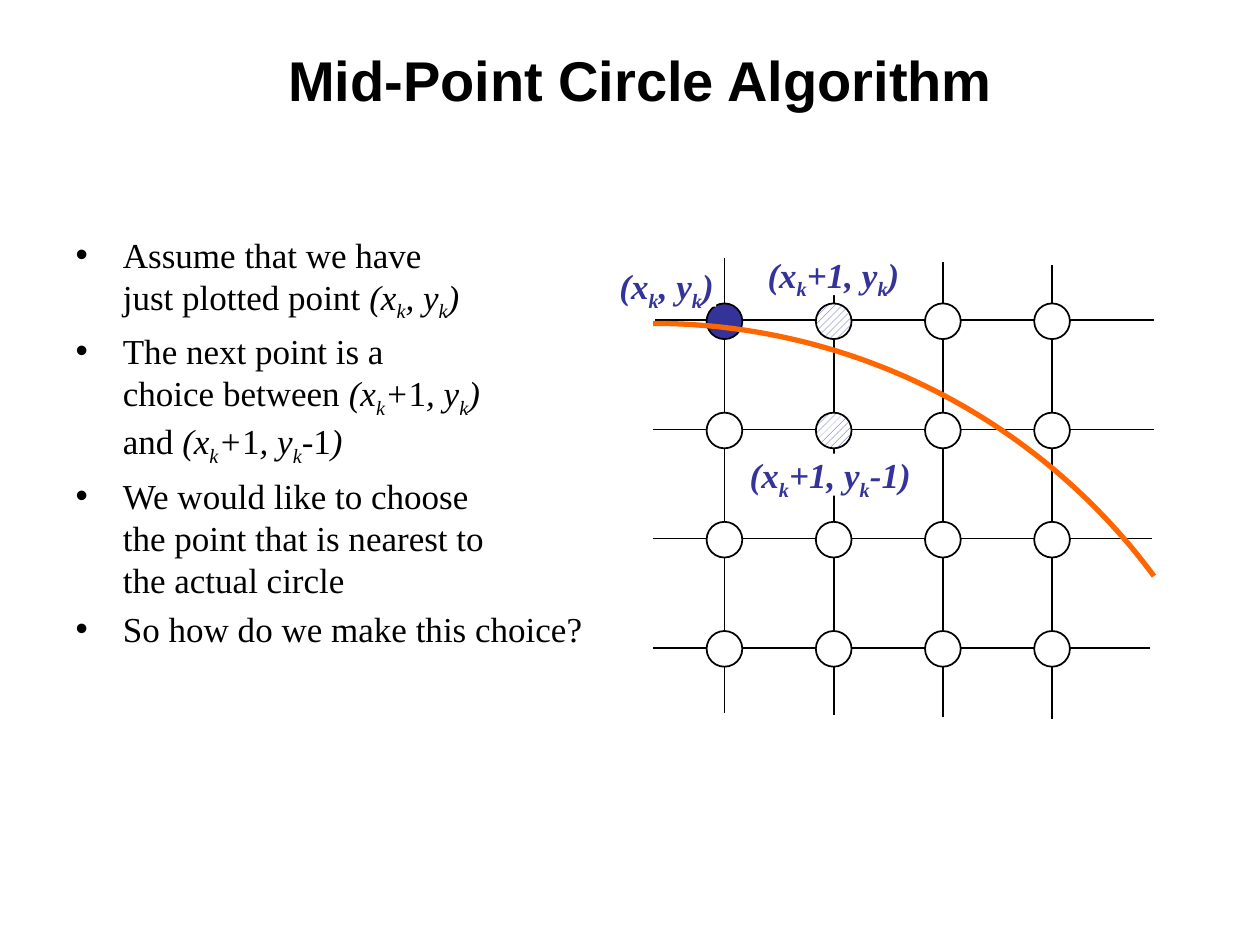
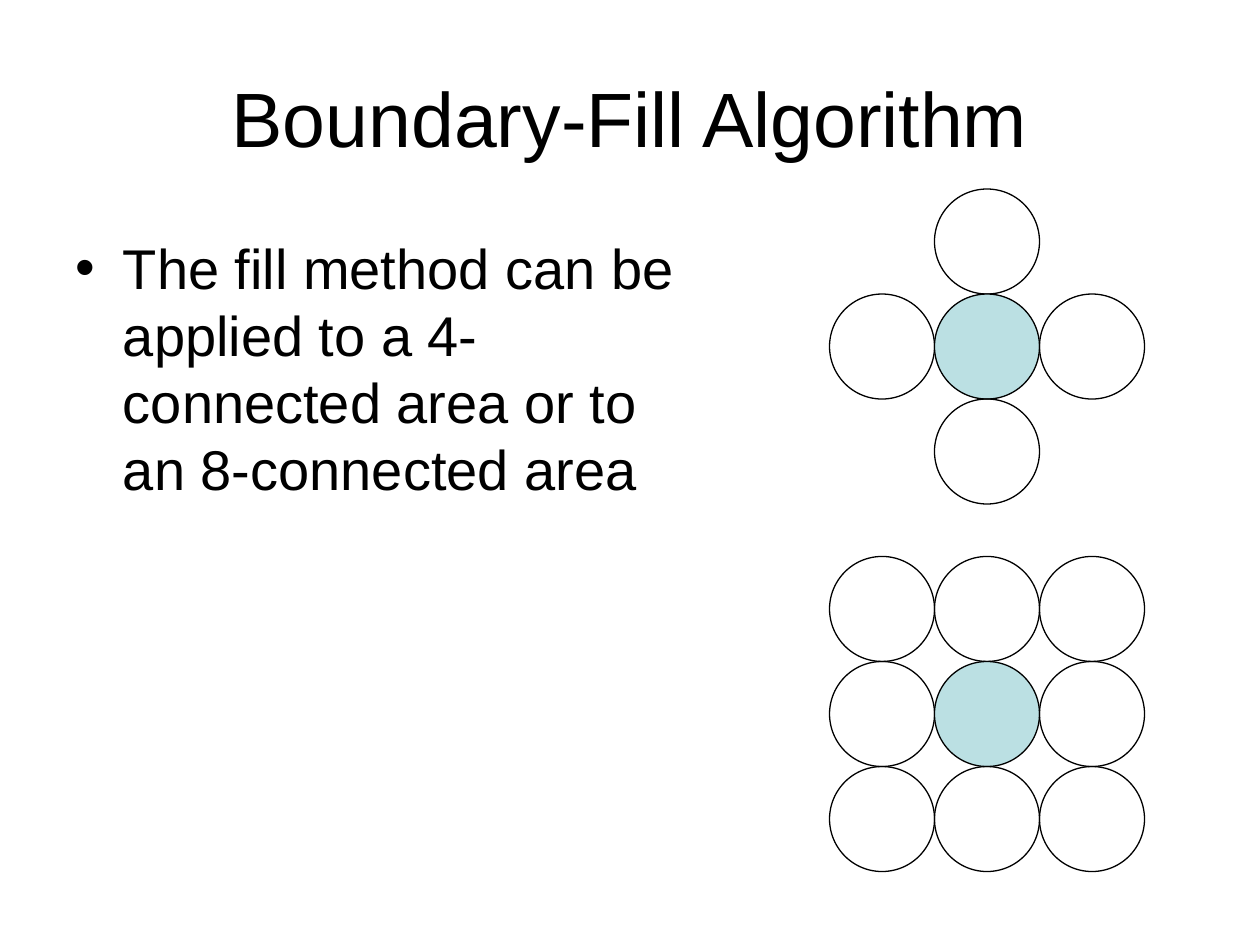
from math import asin, cos, sin

from lxml import etree
from pptx import Presentation
from pptx.dml.color import RGBColor
from pptx.enum.dml import MSO_PATTERN
from pptx.enum.shapes import MSO_CONNECTOR, MSO_SHAPE
from pptx.enum.text import MSO_ANCHOR, MSO_AUTO_SIZE, PP_ALIGN
from pptx.oxml.ns import qn
from pptx.util import Inches, Pt

BLACK = RGBColor(0x00, 0x00, 0x00)
WHITE = RGBColor(0xFF, 0xFF, 0xFF)
NAVY = RGBColor(0x33, 0x33, 0x99)
ORANGE = RGBColor(0xFF, 0x66, 0x00)
AQUA = RGBColor(0xBB, 0xE0, 0xE3)

SANS = "Arial"
SERIF = "Times New Roman"

OVAL = MSO_SHAPE.OVAL
LINE = MSO_CONNECTOR.STRAIGHT
HATCH = MSO_PATTERN.WIDE_UPWARD_DIAGONAL
CENTER = PP_ALIGN.CENTER
TOP, MIDDLE = MSO_ANCHOR.TOP, MSO_ANCHOR.MIDDLE
FIXED, GROW = MSO_AUTO_SIZE.NONE, MSO_AUTO_SIZE.SHAPE_TO_FIT_TEXT

COLS, ROWS = 12, 9
ROMAN, ITALIC, SUB = "roman", "italic", "sub"


def point(dx="", dy="", digit=ITALIC):
    """Pieces of (xk, yk) with signed offsets such as "+1"."""
    pieces = [("(x", ITALIC), ("k", SUB), (dx[:1], ITALIC), (dx[1:], digit),
              (", y", ITALIC), ("k", SUB), (dy[:1], ITALIC), (dy[1:], digit),
              (")", ITALIC)]
    return [piece for piece in pieces if piece[0]]


class Deck:
    """Holds the style and the current slide; lengths are grid cells."""

    def __init__(self):
        self.prs = Presentation()
        self.prs.slide_width = Inches(10)
        self.prs.slide_height = Inches(7.5)
        self.slide = None

    def cells(self, x, y):
        return (round(x * self.prs.slide_width / COLS),
                round(y * self.prs.slide_height / ROWS))

    def box(self, x, y, wide, high):
        return (*self.cells(x, y), *self.cells(wide, high))

    def place(self, shape, box):
        shape.left, shape.top, shape.width, shape.height = self.box(*box)
        shape.text_frame.auto_size = FIXED

    def start(self, text, box, size, bold=False):
        """Add a slide and fill its title."""
        self.slide = self.prs.slides.add_slide(self.prs.slide_layouts[1])
        title = self.slide.shapes.title
        self.place(title, box)
        title.text_frame.vertical_anchor = MIDDLE
        para = title.text_frame.paragraphs[0]
        para.alignment = CENTER
        self.add_runs(para, [(text, ROMAN)], SANS, size, bold=bold)

    def add_runs(self, para, pieces, face, size, color=BLACK, bold=False):
        for text, mark in pieces:
            for n, part in enumerate(text.split("\n")):
                if n:
                    para.add_line_break()
                    gap = para._p.findall(qn("a:br"))[-1]
                    etree.SubElement(gap, qn("a:rPr"), sz=str(size * 100))
                if not part:
                    continue
                run = para.add_run()
                run.text = part
                font = run.font
                font.name, font.size, font.bold = face, Pt(size), bold
                font.italic = mark != ROMAN
                font.color.rgb = color
                if mark == SUB:
                    run._r.get_or_add_rPr().set("baseline", "-25000")

    def bullets(self, items, box, face, size):
        body = self.slide.placeholders[1]
        self.place(body, box)
        frame = body.text_frame
        frame.vertical_anchor = TOP
        frame.margin_top = Inches(0.1)
        for n, pieces in enumerate(items):
            para = frame.add_paragraph() if n else frame.paragraphs[0]
            para.space_before = Pt(size * 0.2 if n else 0)
            self.add_runs(para, pieces, face, size)

    def disc(self, x, y, size, fill=None, hatch=False, width=1):
        """Draw a circle centred at x, y."""
        half = size / 2
        disc = self.slide.shapes.add_shape(
            OVAL, *self.box(x - half, y - half, size, size))
        disc.shadow.inherit = False
        if hatch:
            disc.fill.patterned()
            disc.fill.pattern = HATCH
            disc.fill.fore_color.rgb = fill
            disc.fill.back_color.rgb = WHITE
        elif fill is None:
            disc.fill.background()
        else:
            disc.fill.solid()
            disc.fill.fore_color.rgb = fill
        disc.line.color.rgb = BLACK
        disc.line.width = Pt(width)

    def rule(self, x1, y1, x2, y2):
        rule = self.slide.shapes.add_connector(
            LINE, *self.cells(x1, y1), *self.cells(x2, y2))
        rule.line.color.rgb = BLACK
        rule.line.width = Pt(1)
        etree.SubElement(rule._element.spPr, qn("a:effectLst"))

    def curve(self, points, color, width):
        spots = [self.cells(x, y) for x, y in points]
        pen = self.slide.shapes.build_freeform(*spots[0])
        pen.add_line_segments(spots[1:], close=False)
        curve = pen.convert_to_shape()
        curve.shadow.inherit = False
        curve.fill.background()
        curve.line.color.rgb = color
        curve.line.width = Pt(width)

    def label(self, pieces, x, y, wide):
        label = self.slide.shapes.add_textbox(*self.box(x, y, wide, 0.4))
        label.fill.solid()
        label.fill.fore_color.rgb = WHITE
        frame = label.text_frame
        frame.word_wrap = False
        frame.auto_size = GROW
        frame.margin_left = frame.margin_right = 0
        frame.margin_top = frame.margin_bottom = 0
        self.add_runs(frame.paragraphs[0], pieces, SERIF, 20, NAVY, True)


def midpoint(deck):
    deck.start("Mid-Point Circle Algorithm", (0.7, 0, 10.8, 1.5), 32, True)
    deck.bullets([
        [("Assume that we have \njust plotted point ", ROMAN), *point()],
        [("The next point is a \nchoice between ", ROMAN),
         *point("+1", digit=ROMAN), (" \n", ITALIC), ("and ", ROMAN),
         *point("+1", "-1", ROMAN)],
        [("We would like to choose \nthe point that is nearest to \n"
          "the actual circle", ROMAN)],
        [("So how do we make this choice?", ROMAN)],
    ], (0.6, 2.1, 10.8, 5.89), SERIF, 20)

    count, step, drift = 4, 1.04, 0.02
    left, right = 6.22, 10.99
    xs = [6.9 + step * n for n in range(count)]
    ys = [3.05 + step * n for n in range(count)]
    for n, (x, y) in enumerate(zip(xs, ys)):
        slip = drift * n
        deck.rule(x, 2.46 + slip, x, 6.79 + slip)
        deck.rule(max(left, 6.24 - slip), y, min(right, 11.01 - slip), y)

    fills = {(0, 0): NAVY, (0, 1): NAVY, (1, 1): NAVY}
    for row, y in enumerate(ys):
        for col, x in enumerate(xs):
            deck.disc(x, y + 0.01, 0.34, fills.get((row, col), WHITE),
                      hatch=col == 1 and row < 2)

    radius, base, parts = 5.93, 9.01, 60
    sweep = asin((right - left) / radius)
    turns = [sweep * n / parts for n in range(parts + 1)]
    deck.curve([(left + radius * sin(a), base - radius * cos(a))
                for a in turns], ORANGE, 3)

    deck.label(point("+1"), 7.31, 2.41, 1.27)
    deck.label(point("+1", "-1"), 7.14, 4.32, 1.55)
    deck.label(point(), 5.9, 2.52, 0.92)


def boundary(deck):
    deck.start("Boundary-Fill Algorithm", (0.6, 0.36, 10.8, 1.5), 44)
    deck.bullets([[("The fill method can be applied to a 4-connected area "
                    "or to an 8-connected area", ROMAN)]],
                 (0.6, 2.1, 6, 5.94), SANS, 32)
    near = (-1, 0, 1)
    for mid, corners in ((3.3, False), (6.8, True)):
        for dy in near:
            for dx in near:
                if corners or not (dx and dy):
                    fill = None if dx or dy else AQUA
                    deck.disc(9.4 + dx, mid + dy, 1, fill, width=0.75)


def main():
    deck = Deck()
    midpoint(deck)
    boundary(deck)
    deck.prs.save("out.pptx")


if __name__ == "__main__":
    main()
